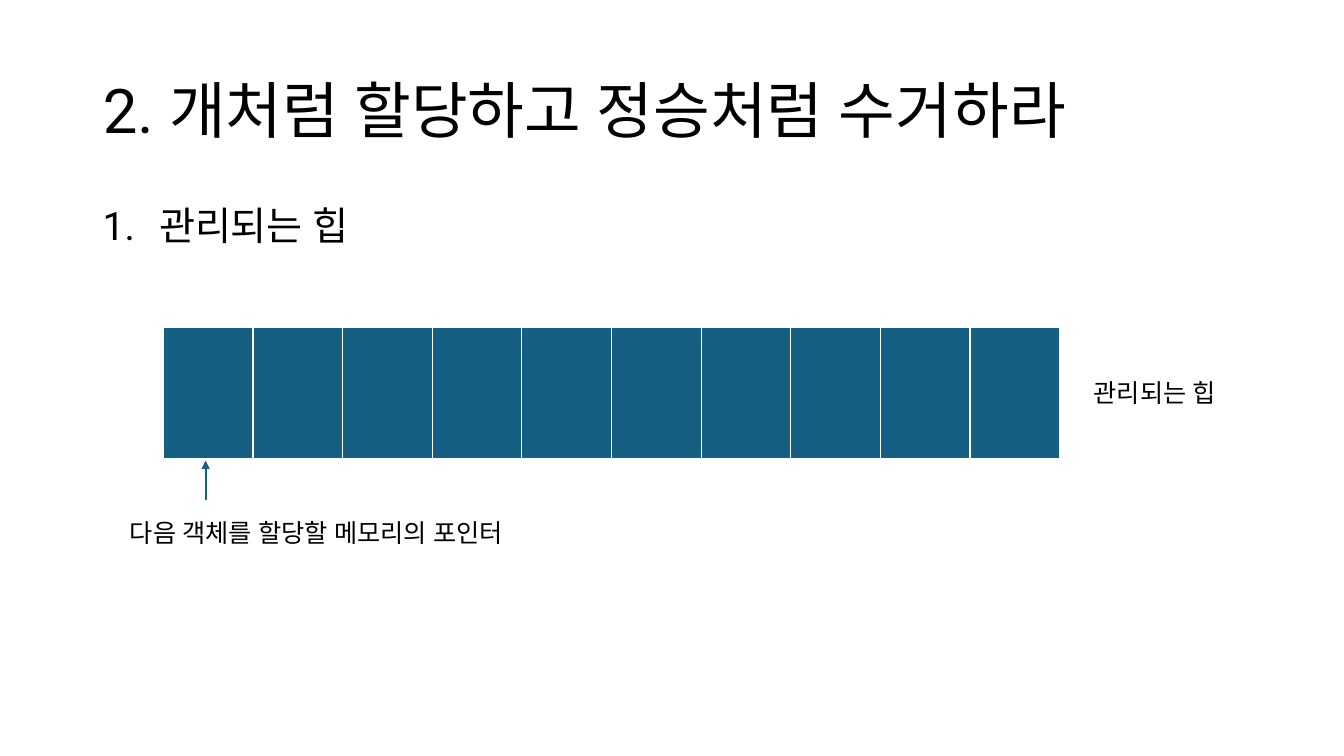
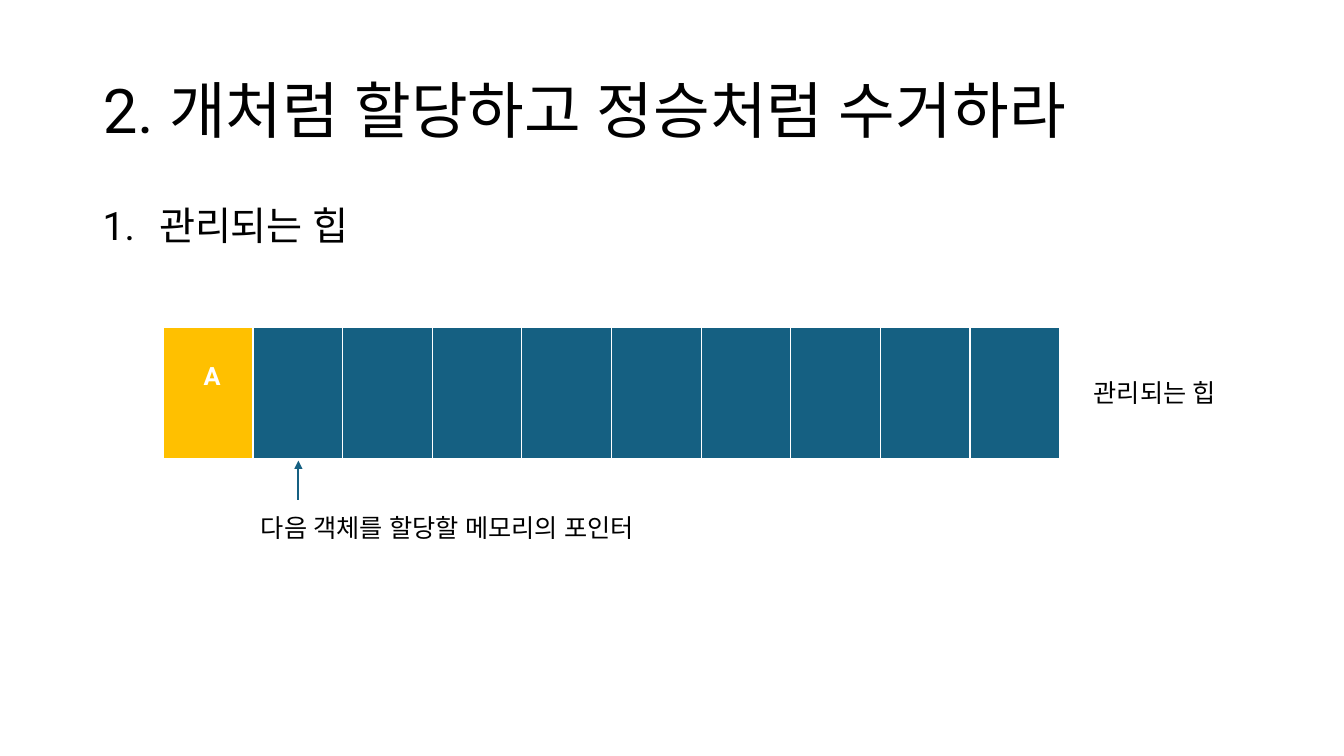
from lxml import etree
from pptx import Presentation
from pptx.dml.color import RGBColor
from pptx.enum.shapes import MSO_CONNECTOR
from pptx.enum.text import MSO_ANCHOR, MSO_AUTO_SIZE, PP_ALIGN
from pptx.oxml.ns import qn
from pptx.util import Inches, Pt

STRAIGHT = MSO_CONNECTOR.STRAIGHT
MIDDLE, TOP = MSO_ANCHOR.MIDDLE, MSO_ANCHOR.TOP
LEFT = PP_ALIGN.LEFT
NO_FIT = MSO_AUTO_SIZE.NONE

COLORS = {"ink": "000000", "paper": "FFFFFF", "free": "156082", "used": "FFC000"}
FONT = "Roboto"
TITLE = "2. 개처럼 할당하고 정승처럼 수거하라"
HEAP = "관리되는 힙"
POINTER = "다음 객체를 할당할 메모리의 포인터"

TITLE_BOX = (0.92, 0.4, 11.5, 1.45)
BODY_BOX = (0.92, 2, 11.5, 4.76)
HEAP_BOX = (1.62, 3.25, 8.89, 1.31)
HEAP_LABEL_BOX = (10.75, 3.69, 1.67, 0.4)
CELL_COUNT = 10
BORDERS = {"a:lnL": 1, "a:lnR": 1, "a:lnT": 1, "a:lnB": 3}

STATES = [
    {"objects": [], "arrow_x": 2.04, "label_box": (1.19, 5.08, 4.79, 0.4)},
    {"objects": ["A"], "arrow_x": 2.96, "label_box": (2.49, 5.03, 4.17, 0.4)},
]


def rgb(name):
    """Return a named colour."""
    return RGBColor.from_string(COLORS[name])


def inches(box):
    """Turn a box in inches into lengths."""
    return [Inches(value) for value in box]


def add_run(para, text, size, color="ink", bold=False):
    """Add one formatted run to a paragraph."""
    span = para.add_run()
    span.text = text
    span.font.name = FONT
    span.font.size = Pt(size)
    span.font.bold = bold
    span.font.color.rgb = rgb(color)
    latin = span.font._element.find(qn("a:latin"))
    east_asian = etree.Element(qn("a:ea"), typeface=FONT)
    latin.addnext(east_asian)


def add_title(page, box):
    """Place and fill the title placeholder."""
    title = page.shapes.title
    title.left, title.top, title.width, title.height = inches(box)
    frame = title.text_frame
    frame.auto_size = NO_FIT
    frame.vertical_anchor = MIDDLE
    para = frame.paragraphs[0]
    para.alignment = LEFT
    para.line_spacing = 0.9
    add_run(para, TITLE, 44)


def add_text(page, box, text, size):
    """Add a wrapped text box and return its paragraph."""
    frame = page.shapes.add_textbox(*inches(box)).text_frame
    frame.word_wrap = True
    frame.vertical_anchor = TOP
    para = frame.paragraphs[0]
    add_run(para, text, size)
    return para


def add_numbered_heading(page, box):
    """Add the numbered heading of the body."""
    para = add_text(page, box, HEAP, 28)
    para.line_spacing = 0.9
    para.space_before = Pt(10)
    properties = para._p.get_or_add_pPr()
    properties.set("marL", str(Inches(0.56)))
    properties.set("indent", str(Inches(-0.56)))
    etree.SubElement(properties, qn("a:buFont"), typeface="+mj-lt")
    etree.SubElement(properties, qn("a:buAutoNum"), type="arabicPeriod")


def style_cell(cell, fill):
    """Give a cell its borders and fill."""
    properties = cell._tc.get_or_add_tcPr()
    for tag, width in BORDERS.items():
        line = etree.SubElement(properties, qn(tag), w=str(Pt(width)))
        solid = etree.SubElement(line, qn("a:solidFill"))
        etree.SubElement(solid, qn("a:srgbClr"), val=COLORS["paper"])
    cell.fill.solid()
    cell.fill.fore_color.rgb = rgb(fill)


def add_heap(page, box, objects):
    """Draw the heap as a row of cells, the first ones holding objects."""
    table = page.shapes.add_table(1, CELL_COUNT, *inches(box)).table
    table.first_row = False
    table.horz_banding = False
    for index in range(CELL_COUNT):
        table.columns[index].width = Inches(box[2] / CELL_COUNT)
        cell = table.cell(0, index)
        used = index < len(objects)
        style_cell(cell, "used" if used else "free")
        if used:
            cell.margin_left = Inches(0.4)
            cell.margin_top = Inches(0.34)
            add_run(cell.text_frame.paragraphs[0], objects[index], 18, "paper", True)


def add_pointer(page, x, start, end):
    """Draw the upward arrow below the heap."""
    arrow = page.shapes.add_connector(
        STRAIGHT, Inches(x), Inches(start), Inches(x), Inches(end)
    )
    arrow.line.color.rgb = rgb("free")
    arrow.line.width = Pt(1.5)
    etree.SubElement(arrow.line._get_or_add_ln(), qn("a:tailEnd"), type="triangle")
    etree.SubElement(arrow._element.spPr, qn("a:effectLst"))


def add_heap_slide(deck, state):
    """Build one slide showing a state of the heap."""
    page = deck.slides.add_slide(deck.slide_layouts.get_by_name("Title Only"))
    add_title(page, TITLE_BOX)
    add_numbered_heading(page, BODY_BOX)
    add_heap(page, HEAP_BOX, state["objects"])
    add_text(page, HEAP_LABEL_BOX, HEAP, 18)
    heap_bottom = HEAP_BOX[1] + HEAP_BOX[3]
    add_pointer(page, state["arrow_x"], heap_bottom + 0.4, heap_bottom + 0.01)
    add_text(page, state["label_box"], POINTER, 18)


def main():
    """Build and save the deck."""
    deck = Presentation()
    deck.slide_width, deck.slide_height = Inches(13.33), Inches(7.5)
    for state in STATES:
        add_heap_slide(deck, state)
    deck.save("out.pptx")


if __name__ == "__main__":
    main()
